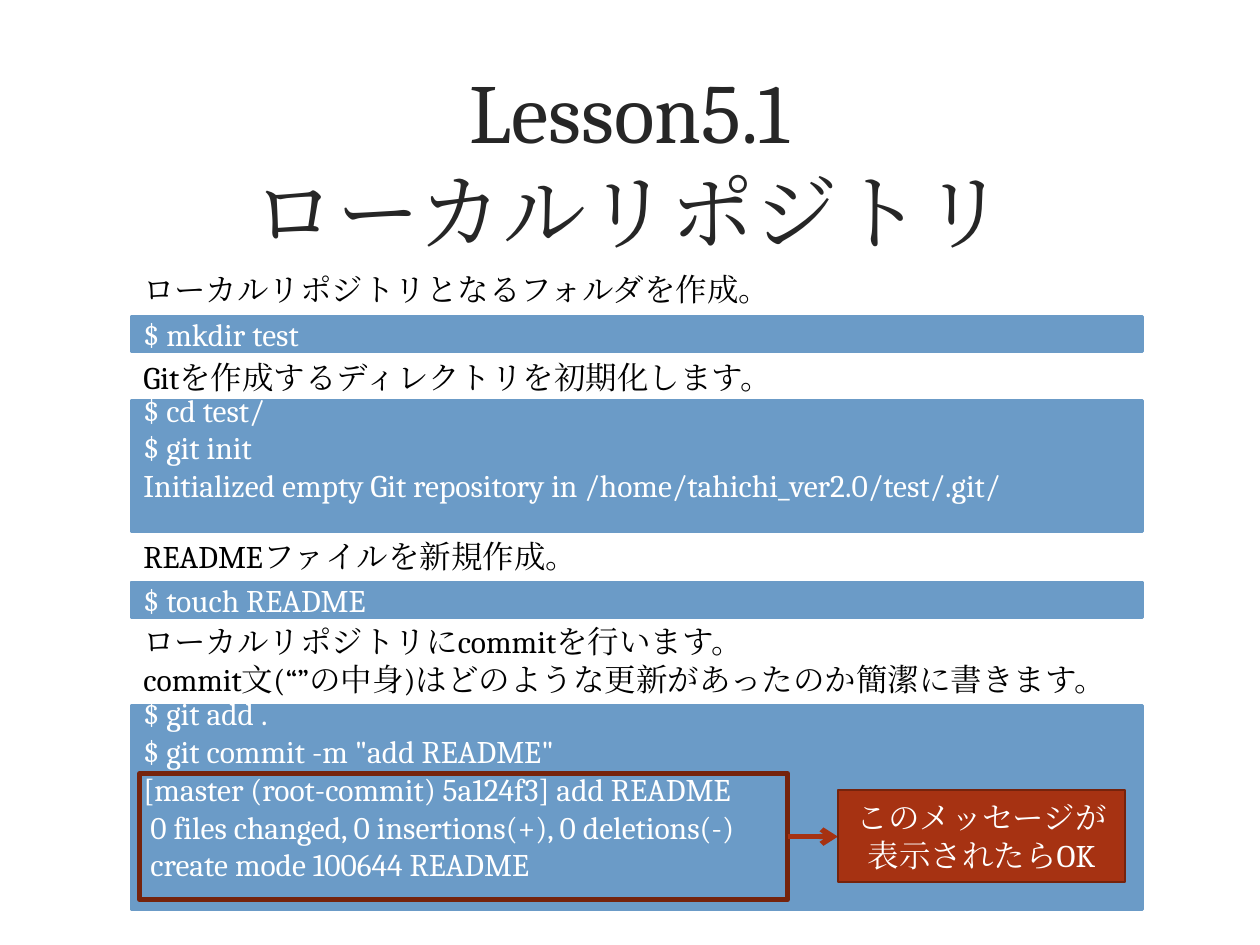
from lxml.etree import SubElement
from pptx import Presentation
from pptx.dml.color import RGBColor
from pptx.enum.shapes import MSO_CONNECTOR, MSO_SHAPE
from pptx.enum.text import MSO_ANCHOR, MSO_AUTO_SIZE, PP_ALIGN
from pptx.oxml.ns import qn
from pptx.util import Inches, Pt

FONT = "Cambria"
HUES = {"title": "262626", "text": "000000", "code": "6B9BC7",
        "light": "FFFFFF", "note": "A63212", "edge": "75230C"}
LEFT, WIDTH = 1.04, 8.03
BLANK = 0.3

STEPS = [
    (2.09, 0.4, ["ローカルリポジトリとなるフォルダを作成。"]),
    (2.79, 0.4, ["Gitを作成するディレクトリを初期化します。"]),
    (4.21, 0.4, ["READMEファイルを新規作成。"]),
    (4.89, 0.71, ["ローカルリポジトリにcommitを行います。",
                  "commit文(“”の中身)はどのような更新があったのか簡潔に書きます。"]),
]
CODES = [
    (2.51, 0.28, 0, ["$ mkdir test"]),
    (3.18, 1.04, BLANK, ["$ cd test/", "$ git init",
                         "Initialized empty Git repository in /home/tahichi_ver2.0/test/.git/"]),
    (4.62, 0.28, 0, ["$ touch README"]),
    (5.6, 1.62, BLANK, ["$ git add .", '$ git commit -m "add README"',
                        "[master (root-commit) 5a124f3] add README",
                        " 0 files changed, 0 insertions(+), 0 deletions(-)",
                        " create mode 100644 README"]),
]


def color(key):
    """Return the named colour."""
    return RGBColor.from_string(HUES[key])


def write(frame, lines, size=18, hue="text", align=PP_ALIGN.LEFT,
          anchor=MSO_ANCHOR.TOP, pad=0):
    """Fill a text frame with one paragraph per line."""
    frame.word_wrap = True
    frame.auto_size = MSO_AUTO_SIZE.NONE
    frame.vertical_anchor = anchor
    frame.margin_bottom = Inches(0.05 + pad)
    for i, line in enumerate(lines):
        para = frame.add_paragraph() if i else frame.paragraphs[0]
        para.text = line
        para.alignment = align
        for run in para.runs:
            run.font.name = FONT
            run.font.size = Pt(size)
            run.font.color.rgb = color(hue)
            SubElement(run._r.get_or_add_rPr(), qn("a:ea"), typeface=FONT)


def panel(slide, box, fill=None, edge="code", weight=1.5):
    """Draw a rectangle in the given box."""
    shape = slide.shapes.add_shape(MSO_SHAPE.RECTANGLE, *map(Inches, box))
    shape.shadow.inherit = False
    if fill:
        shape.fill.solid()
        shape.fill.fore_color.rgb = color(fill)
    else:
        shape.fill.background()
    shape.line.color.rgb = color(edge)
    shape.line.width = Pt(weight)
    return shape


def head(slide, box):
    """Place and format the slide title."""
    title = slide.shapes.title
    title.left, title.top, title.width, title.height = map(Inches, box)
    write(title.text_frame, ["Lesson5.1\vローカルリポジトリ"], size=48, hue="title",
          align=PP_ALIGN.CENTER, anchor=MSO_ANCHOR.MIDDLE)


def step(slide, box, lines):
    """Write one instruction."""
    text = slide.shapes.add_textbox(*map(Inches, box))
    text.text_frame.margin_right = 0
    write(text.text_frame, lines)


def code(slide, box, lines, pad):
    """Draw one block of commands."""
    shape = panel(slide, box, fill="code")
    write(shape.text_frame, lines, hue="light", anchor=MSO_ANCHOR.MIDDLE, pad=pad)


def arrow(slide, start, end):
    """Draw an arrow between two points."""
    link = slide.shapes.add_connector(
        MSO_CONNECTOR.STRAIGHT, *map(Inches, (*start, *end)))
    link.line.color.rgb = color("note")
    link.line.width = Pt(3)
    SubElement(link.line._get_or_add_ln(), qn("a:tailEnd"), type="arrow")
    SubElement(link._element.spPr, qn("a:effectLst"))


def callout(slide, box):
    """Frame the commit result and point to its note."""
    left, top, width, height = box
    frame = 5.14
    gap = 0.4
    side = left + frame
    note = side + gap
    mid = top + height / 2
    panel(slide, (left, top, frame, height), edge="edge", weight=3)
    arrow(slide, (side, mid), (note, mid))
    shape = panel(slide, (note, top + 0.13, left + width - note, 0.73),
                  fill="note", edge="edge")
    write(shape.text_frame, ["このメッセージが表示されたらOK"], hue="light",
          align=PP_ALIGN.CENTER, anchor=MSO_ANCHOR.MIDDLE)


def main():
    """Build and save the slide."""
    deck = Presentation()
    deck.slide_width, deck.slide_height = Inches(10), Inches(7.5)
    slide = deck.slides.add_slide(deck.slide_layouts[5])
    head(slide, (0.6, 0.48, 8.79, 1.58))
    for top, height, pad, lines in CODES:
        code(slide, (LEFT, top, WIDTH, height), lines, pad)
    for top, height, lines in STEPS:
        step(slide, (LEFT, top, WIDTH, height), lines)
    callout(slide, (1.11, 6.14, 7.82, 1))
    deck.save("out.pptx")


if __name__ == "__main__":
    main()
